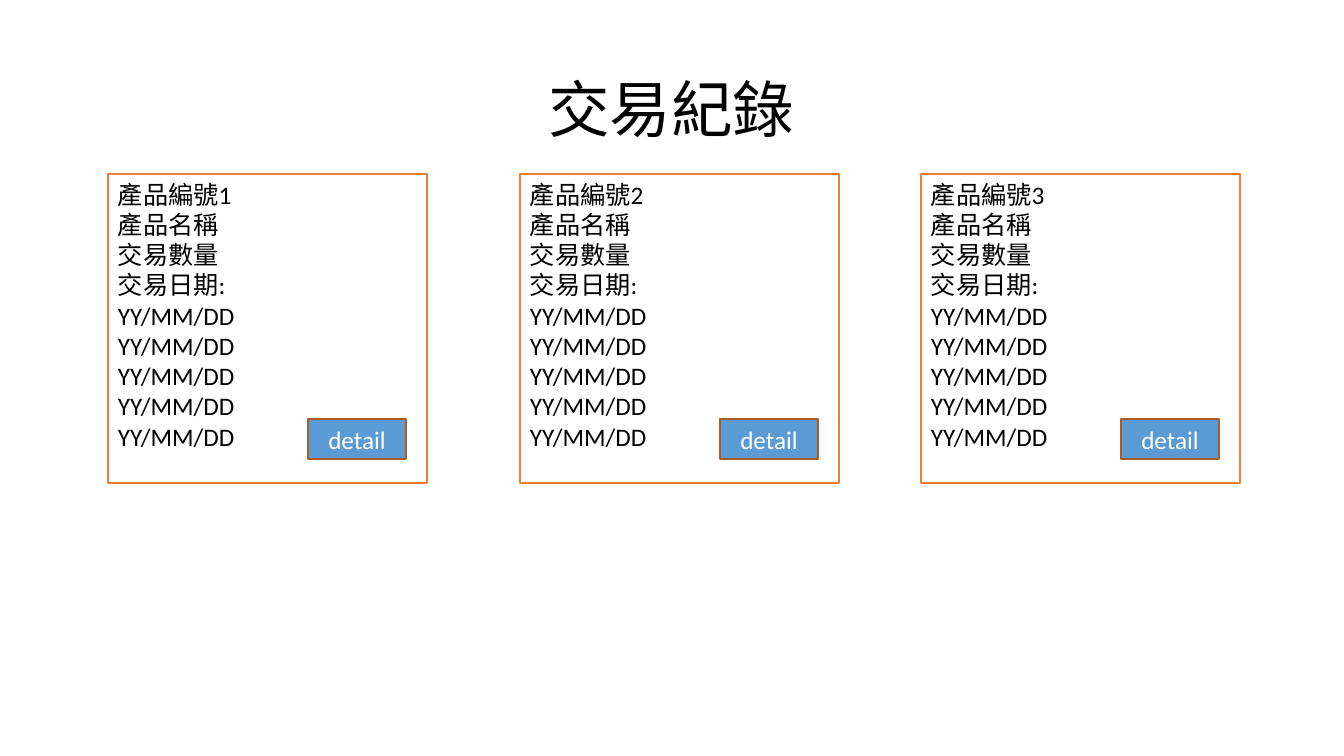
from pptx import Presentation
from pptx.dml.color import RGBColor
from pptx.enum.shapes import MSO_SHAPE
from pptx.enum.text import MSO_ANCHOR, PP_ALIGN
from pptx.util import Pt

SCALE = 914400 / 100.8
BLACK = RGBColor(0x00, 0x00, 0x00)
WHITE = RGBColor(0xFF, 0xFF, 0xFF)
ORANGE = RGBColor(0xED, 0x7D, 0x31)
BROWN = RGBColor(0xAC, 0x5B, 0x23)
BLUE = RGBColor(0x5B, 0x9B, 0xD5)


def px(*sizes):
    return [round(size * SCALE) for size in sizes]


def write(shape, lines, size, color, align, anchor):
    frame = shape.text_frame
    frame.word_wrap = True
    frame.vertical_anchor = anchor
    frame.text = "\n".join(lines)
    for para in frame.paragraphs:
        para.alignment = align
        para.font.name = "Calibri"
        para.font.size = Pt(size)
        para.font.color.rgb = color


deck = Presentation()
deck.slide_width, deck.slide_height = px(1344, 756)
slide = deck.slides.add_slide(deck.slide_layouts[6])

title = slide.shapes.add_textbox(*px(92, 40, 1159, 146))
write(title, ["交易紀錄"], 44, BLACK, PP_ALIGN.CENTER, MSO_ANCHOR.MIDDLE)
title.text_frame.paragraphs[0].line_spacing = 0.9

for number, left in enumerate([108, 520, 921], 1):
    lines = [f"產品編號{number}", "產品名稱", "交易數量", "交易日期:"]
    lines += ["YY/MM/DD"] * 5
    card = (left, 174, 319, 309), WHITE, ORANGE, lines, BLACK, PP_ALIGN.LEFT, MSO_ANCHOR.TOP
    button = (left + 200, 419, 98, 40), BLUE, BROWN, ["detail"], WHITE, PP_ALIGN.CENTER, MSO_ANCHOR.MIDDLE
    for place, fill, edge, words, ink, align, anchor in (card, button):
        box = slide.shapes.add_shape(MSO_SHAPE.RECTANGLE, *px(*place))
        box.shadow.inherit = False
        box.fill.solid()
        box.fill.fore_color.rgb = fill
        box.line.color.rgb = edge
        box.line.width = Pt(1)
        write(box, words, 18, ink, align, anchor)

deck.save("out.pptx")
